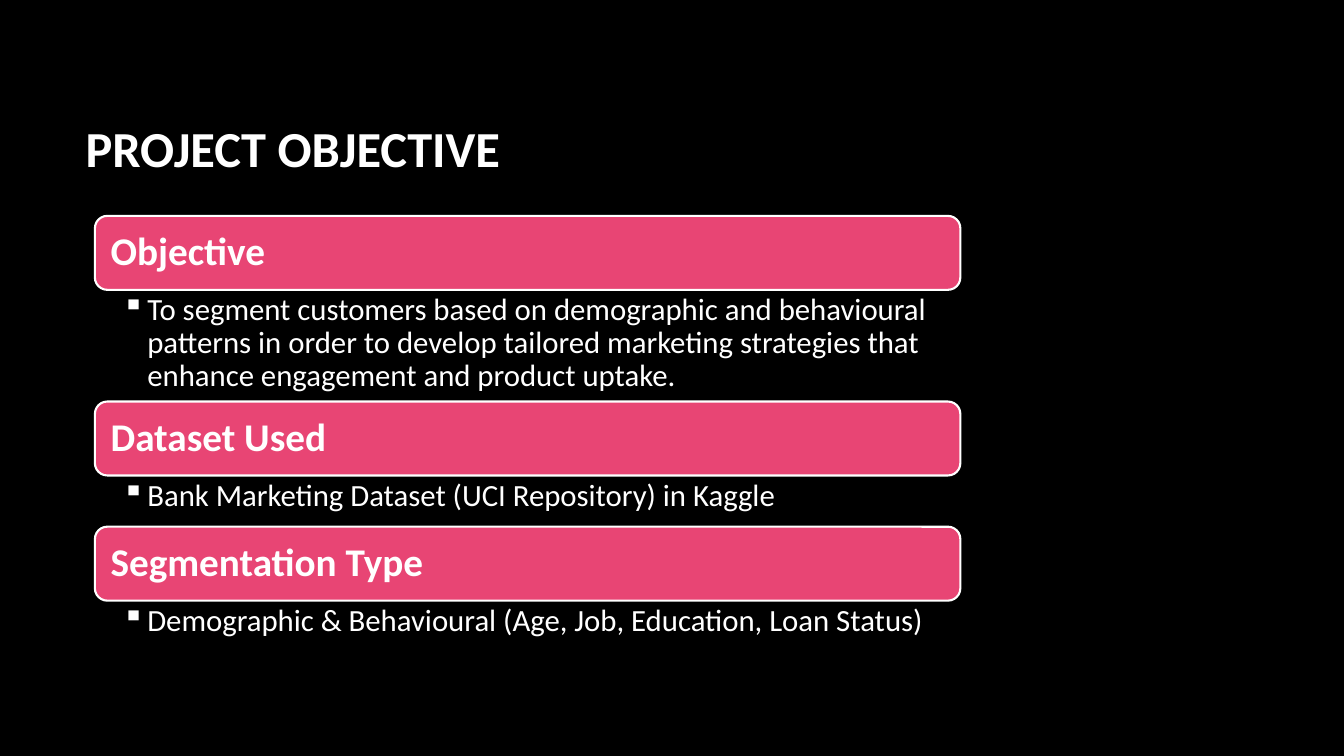
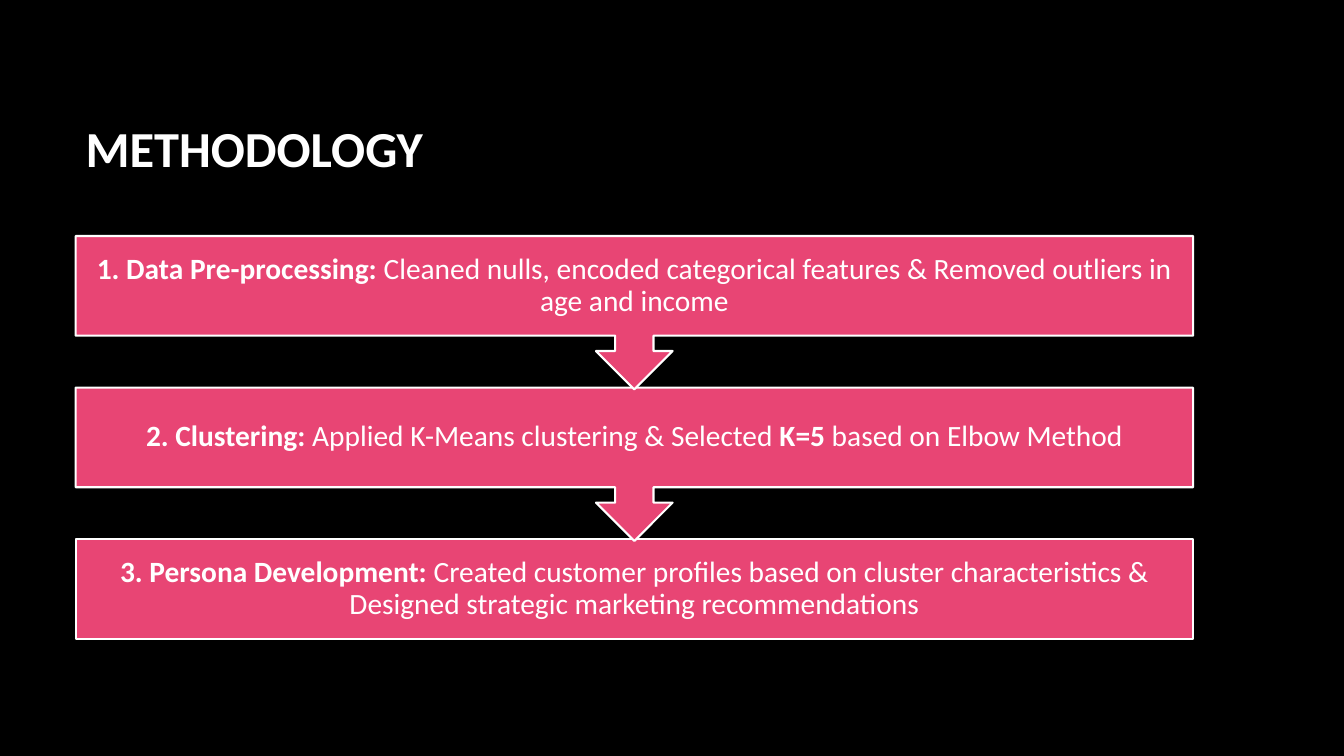
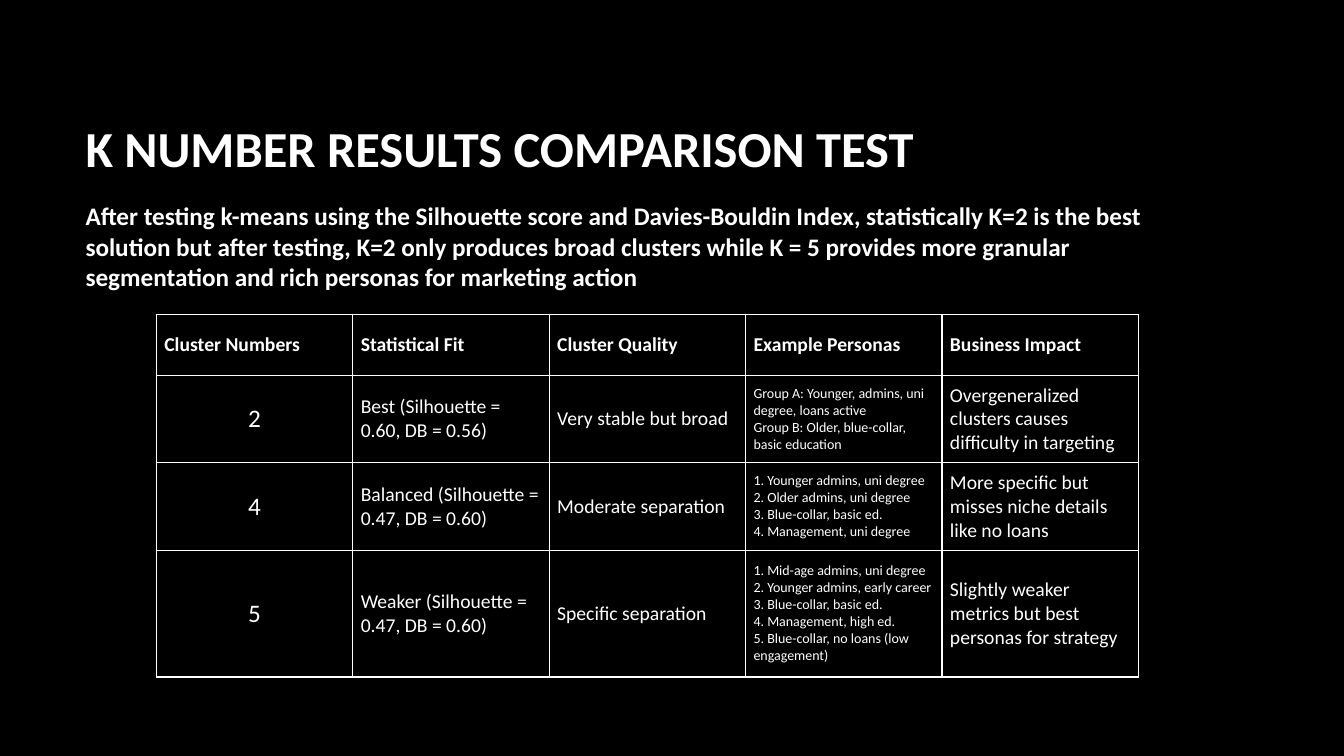
from lxml.etree import SubElement
from pptx import Presentation
from pptx.dml.color import RGBColor
from pptx.enum.shapes import MSO_SHAPE
from pptx.enum.text import MSO_ANCHOR, PP_ALIGN
from pptx.oxml.ns import qn
from pptx.util import Inches, Pt

ROUNDED = MSO_SHAPE.ROUNDED_RECTANGLE
RECTANGLE = MSO_SHAPE.RECTANGLE
DOWN_CALLOUT = MSO_SHAPE.DOWN_ARROW_CALLOUT
TOP, MIDDLE = MSO_ANCHOR.TOP, MSO_ANCHOR.MIDDLE
LEFT, CENTER = PP_ALIGN.LEFT, PP_ALIGN.CENTER

COLORS = {"background": "000000", "text": "FFFFFF", "accent": "E84574"}
FONT = "Calibri"
GRID = 12
MARGIN = 9
CONTENT_WIDTH = 133
BORDERS = ("a:lnL", "a:lnR", "a:lnT", "a:lnB")

STYLES = {
    "title": {"size": 36, "bold": True, "anchor": MIDDLE},
    "lead": {"size": 18, "bold": True},
    "heading": {"size": 28, "bold": True, "anchor": MIDDLE, "spacing": 0.9,
                "insets": (0.12, 0.12, 0.12, 0.12)},
    "detail": {"size": 22, "spacing": 0.9, "bullet": "▪",
               "insets": (0.27, 0.04, 0.22, 0.04)},
    "step": {"size": 21, "anchor": MIDDLE, "align": CENTER, "spacing": 0.9,
             "insets": (0.16, 0.16, 0.16, 0.16)},
    "header": {"size": 14, "bold": True},
    "number": {"size": 18, "align": CENTER},
    "cell": {"size": 14},
    "personas": {"size": 10},
}
COLUMN_STYLES = ("number", "cell", "cell", "personas", "cell")

OBJECTIVES = [
    ("Objective",
     "To segment customers based on demographic and behavioural patterns in order to "
     "develop tailored marketing strategies that enhance engagement and product uptake.",
     13.3),
    ("Dataset Used", "Bank Marketing Dataset (UCI Repository) in Kaggle", 6.1),
    ("Segmentation Type", "Demographic & Behavioural (Age, Job, Education, Loan Status)", 6.1),
]

STEPS = [
    [("1. Data Pre-processing: ", True),
     ("Cleaned nulls, encoded categorical features & Removed outliers in age and income", False)],
    [("2. Clustering: ", True), ("Applied K-Means clustering & Selected ", False),
     ("K=5", True), (" based on Elbow Method", False)],
    [("3. Persona Development: ", True),
     ("Created customer profiles based on cluster characteristics & "
      "Designed strategic marketing recommendations", False)],
]

COMPARISON_LEAD = (
    "After testing k-means using the Silhouette score and Davies-Bouldin Index, statistically "
    "K=2 is the best solution but after testing, K=2 only produces broad clusters while K = 5 "
    "provides more granular segmentation and rich personas for marketing action"
)

COMPARISON = [
    ("Cluster Numbers", "Statistical Fit", "Cluster Quality", "Example Personas",
     "Business Impact"),
    ("2", "Best (Silhouette = 0.60, DB = 0.56)", "Very stable but broad",
     "Group A: Younger, admins, uni degree, loans active\n"
     "Group B: Older, blue-collar, basic education",
     "Overgeneralized clusters causes difficulty in targeting"),
    ("4", "Balanced (Silhouette = 0.47, DB = 0.60)", "Moderate separation",
     "1. Younger admins, uni degree\n2. Older admins, uni degree\n"
     "3. Blue-collar, basic ed.\n4. Management, uni degree",
     "More specific but misses niche details like no loans"),
    ("5", "Weaker (Silhouette = 0.47, DB = 0.60)", "Specific separation",
     "1. Mid-age admins, uni degree\n2. Younger admins, early career\n"
     "3. Blue-collar, basic ed.\n4. Management, high ed.\n"
     "5. Blue-collar, no loans (low engagement)",
     "Slightly weaker metrics but best personas for strategy"),
]


def color(name):
    return RGBColor.from_string(COLORS[name])


def units(*values):
    return [Inches(value / GRID) for value in values]


class Deck:
    def __init__(self):
        self.presentation = Presentation()
        self.presentation.slide_width = Inches(13.33)
        self.presentation.slide_height = Inches(7.5)
        background = self.presentation.slide_master.background.fill
        background.solid()
        background.fore_color.rgb = color("background")
        self.slide = None

    def add_slide(self, title):
        self.slide = self.presentation.slides.add_slide(self.presentation.slide_layouts[6])
        self.text((MARGIN, 8, CONTENT_WIDTH, 19), title, "title")

    def add_paragraphs(self, frame, content, style):
        lines = [[(line, style.get("bold", False))] for line in content.split("\n")] \
            if isinstance(content, str) else [content]
        for index, runs in enumerate(lines):
            paragraph = frame.add_paragraph() if index else frame.paragraphs[0]
            paragraph.alignment = style.get("align", LEFT)
            paragraph.line_spacing = style.get("spacing", 1.0)
            if "bullet" in style:
                properties = paragraph._p.get_or_add_pPr()
                properties.set("marL", str(Inches(0.25)))
                properties.set("indent", str(-Inches(0.25)))
                SubElement(properties, qn("a:buChar"), char=style["bullet"])
            for text, bold in runs:
                run = paragraph.add_run()
                run.text = text
                values = {"name": FONT, "size": Pt(style["size"]), "bold": bold}
                for name, value in values.items():
                    setattr(run.font, name, value)
                run.font.color.rgb = color("text")

    def fill_frame(self, frame, content, style_name):
        style = STYLES[style_name]
        left, top, right, bottom = style.get("insets", (0.1, 0.05, 0.1, 0.05))
        values = {
            "word_wrap": True,
            "vertical_anchor": style.get("anchor", TOP),
            "margin_left": Inches(left),
            "margin_top": Inches(top),
            "margin_right": Inches(right),
            "margin_bottom": Inches(bottom),
        }
        for name, value in values.items():
            setattr(frame, name, value)
        self.add_paragraphs(frame, content, style)

    def text(self, box, content, style_name):
        shape = self.slide.shapes.add_textbox(*units(*box))
        self.fill_frame(shape.text_frame, content, style_name)

    def panel(self, kind, box, content, style_name):
        shape = self.slide.shapes.add_shape(kind, *units(*box))
        shape.shadow.inherit = False
        shape.fill.solid()
        shape.fill.fore_color.rgb = color("accent")
        shape.line.color.rgb = color("text")
        shape.line.width = Pt(1.5)
        self.fill_frame(shape.text_frame, content, style_name)

    def table(self, left, top, column_width, row_heights, rows):
        column_count = len(rows[0])
        box = units(left, top, column_width * column_count, sum(row_heights))
        table = self.slide.shapes.add_table(len(rows), column_count, *box).table
        table.horz_banding = False
        for column in table.columns:
            column.width = Inches(column_width / GRID)
        for row, height in zip(table.rows, row_heights):
            row.height = Inches(height / GRID)
        for row_index, row in enumerate(rows):
            for column_index, content in enumerate(row):
                style_name = COLUMN_STYLES[column_index] if row_index else "header"
                self.cell(table.cell(row_index, column_index), content, style_name)

    def cell(self, cell, content, style_name):
        values = {
            "vertical_anchor": MIDDLE,
            "margin_left": Inches(0.08),
            "margin_right": Inches(0.08),
            "margin_top": Inches(0.04),
            "margin_bottom": Inches(0.04),
        }
        for name, value in values.items():
            setattr(cell, name, value)
        properties = cell._tc.get_or_add_tcPr()
        for border in BORDERS:
            line = SubElement(properties, qn(border), w=str(Pt(1)))
            fill = SubElement(line, qn("a:solidFill"))
            SubElement(fill, qn("a:srgbClr"), val=COLORS["text"])
        cell.fill.background()
        self.add_paragraphs(cell.text_frame, content, STYLES[style_name])


def build_objective(deck):
    deck.add_slide("PROJECT OBJECTIVE")
    left, top, width, heading_height = 11.3, 25.7, 103, 8.8
    for heading, detail, detail_height in OBJECTIVES:
        deck.panel(ROUNDED, (left, top, width, heading_height), heading, "heading")
        top += heading_height
        deck.text((left, top, width, detail_height), detail, "detail")
        top += detail_height


def build_methodology(deck):
    deck.add_slide("METHODOLOGY")
    top, pitch, callout_height, box_height = 28.1, 18.05, 18.25, 11.85
    last = len(STEPS) - 1
    for index in reversed(range(len(STEPS))):
        kind, height = (RECTANGLE, box_height) if index == last else (DOWN_CALLOUT, callout_height)
        box = (MARGIN, top + index * pitch, CONTENT_WIDTH, height)
        deck.panel(kind, box, STEPS[index], "step")


def build_comparison(deck):
    deck.add_slide("K NUMBER RESULTS COMPARISON TEST")
    deck.text((MARGIN, 23.3, CONTENT_WIDTH, 12), COMPARISON_LEAD, "lead")
    deck.table(18.6, 37.4, 23.38, (7.3, 10.4, 10.4, 15.1), COMPARISON)


def main():
    deck = Deck()
    build_objective(deck)
    build_methodology(deck)
    build_comparison(deck)
    deck.presentation.save("out.pptx")


if __name__ == "__main__":
    main()
